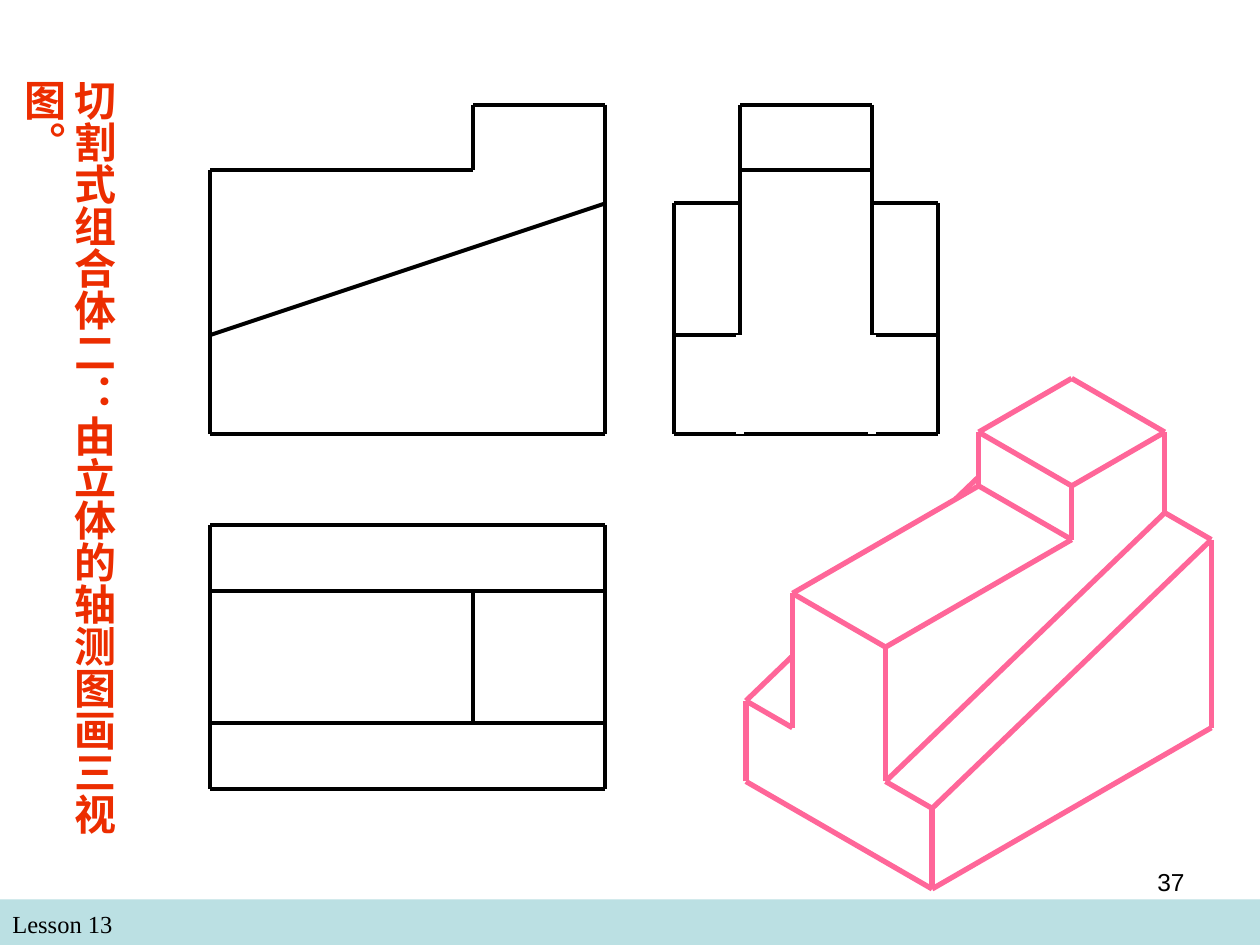
import math
from dataclasses import dataclass

import pptx
import pptx.util
from pptx.dml.color import RGBColor
from pptx.enum.shapes import MSO_CONNECTOR, MSO_SHAPE
from pptx.enum.text import MSO_AUTO_SIZE, PP_ALIGN
from pptx.oxml.ns import qn
from pptx.util import Cm, Pt

BLACK = RGBColor(0x00, 0x00, 0x00)
WHITE = RGBColor(0xFF, 0xFF, 0xFF)
PINK = RGBColor(0xFF, 0x66, 0x99)
RED = RGBColor(0xEC, 0x2D, 0x00)
TEAL = RGBColor(0xBB, 0xE0, 0xE3)

# The solid is 12 units long, 8 deep and 10 high
UNIT = 7.97 / 12
ISO_UNIT = 6.5 / 12
ISO_ORIGIN = (18.79, 17.92)
COS30, SIN30 = math.cos(math.pi / 6), 0.5


@dataclass
class View:
    """Orthographic view: lower left corner in cm, paths in units, y upwards."""
    left: float
    bottom: float
    paths: list
    color: RGBColor = BLACK
    width: float = 2.25


@dataclass
class Label:
    text: str
    box: tuple
    font: str
    size: float
    color: RGBColor = BLACK
    bold: bool = False
    align: PP_ALIGN = PP_ALIGN.LEFT
    vertical: bool = False


FRONT = View(4.23, 8.75, [
    [(0, 3), (12, 7)],
    [(0, 0), (0, 3), (0, 8), (8, 8), (8, 10), (12, 10), (12, 7), (12, 0), (0, 0)],
])
TOP = View(4.23, 15.9, [
    [(0, 0), (12, 0), (12, 2), (12, 6), (12, 8), (0, 8), (0, 6), (0, 2), (0, 0)],
    [(0, 2), (8, 2), (12, 2)],
    [(0, 6), (8, 6), (12, 6)],
    [(8, 2), (8, 6)],
])
SIDE = View(13.59, 8.75, [
    [(2, 7), (0, 7), (0, 3), (0, 0), (8, 0), (8, 3), (8, 7), (6, 7)],
    [(0, 3), (2, 3)],
    [(6, 3), (8, 3)],
    [(2, 3), (2, 8), (2, 10), (6, 10), (6, 8), (6, 3)],
    [(2, 8), (6, 8)],
])
SIDE_GAPS = View(13.59, 8.75, [[(x, 3), (x, 0)] for x in (2, 6)], WHITE, 4.5)

# Visible edges of the solid as (length, depth, height)
ISO_PATHS = [
    [(0, 0, 3), (12, 0, 7), (12, 0, 0), (0, 0, 0), (0, 0, 3)],
    [(12, 0, 7), (12, 2, 7), (0, 2, 3), (0, 0, 3)],
    [(0, 0, 0), (0, 8, 0), (0, 8, 3), (0, 6, 3), (0, 6, 8)],
    [(0, 8, 3), (2, 8, 11 / 3)],
    [(9, 8, 6), (10, 8, 19 / 3)],
    [(0, 2, 3), (0, 2, 8), (0, 6, 8), (8, 6, 8), (8, 2, 8), (0, 2, 8)],
    [(8, 6, 8), (8, 6, 10), (8, 2, 10), (8, 2, 8)],
    [(8, 6, 10), (12, 6, 10), (12, 2, 10), (8, 2, 10)],
    [(12, 2, 10), (12, 2, 7)],
]

LABELS = [
    Label("Lesson 13", (0, 18.21, 12.27, 0.86), "Times New Roman", 14),
    Label("切割式组合体二：由立体的轴测图画三视图。", (0.25, 1.35, 2.29, 16.2),
          "Arial", 24, RED, bold=True, vertical=True),
    Label("37", (18.21, 17.35, 5.92, 1.32), "Arial", 14, align=PP_ALIGN.RIGHT),
]


def draw_path(s, points: list, color: RGBColor, width: float) -> None:
    """Join consecutive points, given in cm, with straight lines."""
    for start, end in zip(points, points[1:]):
        line = s.shapes.add_connector(
            MSO_CONNECTOR.STRAIGHT, *(Cm(v) for v in start + end))
        line.line.color.rgb = color
        line.line.width = Pt(width)
        sppr = line._element.spPr
        sppr.append(sppr.makeelement(qn("a:effectLst"), {}))


def draw_view(s, view: View) -> None:
    for path in view.paths:
        points = [(view.left + x * UNIT, view.bottom - y * UNIT) for x, y in path]
        draw_path(s, points, view.color, view.width)


def isometric(length: float, depth: float, height: float) -> tuple:
    x0, y0 = ISO_ORIGIN
    return (x0 + (length - depth) * COS30 * ISO_UNIT,
            y0 - ((length + depth) * SIN30 + height) * ISO_UNIT)


def add_label(s, label: Label) -> None:
    tf = s.shapes.add_textbox(*(Cm(v) for v in label.box)).text_frame
    tf.word_wrap = True
    if label.vertical:
        tf.auto_size = MSO_AUTO_SIZE.NONE
        tf._txBody.bodyPr.set("vert", "eaVert")
        tf.margin_left = tf.margin_right = Cm(0.13)
        tf.margin_top = tf.margin_bottom = Cm(0.25)
    p = tf.paragraphs[0]
    p.text = label.text
    p.alignment = label.align
    p.font.name = label.font
    p.font.size = Pt(label.size)
    p.font.bold = label.bold
    p.font.color.rgb = label.color


def main() -> None:
    prs = pptx.Presentation()
    prs.slide_width, prs.slide_height = Cm(25.4), Cm(19.05)
    s = prs.slides.add_slide(prs.slide_layouts[6])

    # Footer band
    band = s.shapes.add_shape(MSO_SHAPE.RECTANGLE, 0, Cm(18.13), Cm(25.4), Cm(0.92))
    band.shadow.inherit = False
    band.fill.solid()
    band.fill.fore_color.rgb = TEAL
    band.line.fill.background()

    # Three orthographic views
    for view in (FRONT, TOP, SIDE, SIDE_GAPS):
        draw_view(s, view)

    # Isometric view
    for path in ISO_PATHS:
        draw_path(s, [isometric(*point) for point in path], PINK, 3)

    # Title, footer and page number
    for label in LABELS:
        add_label(s, label)

    prs.save("out.pptx")


if __name__ == "__main__":
    main()
